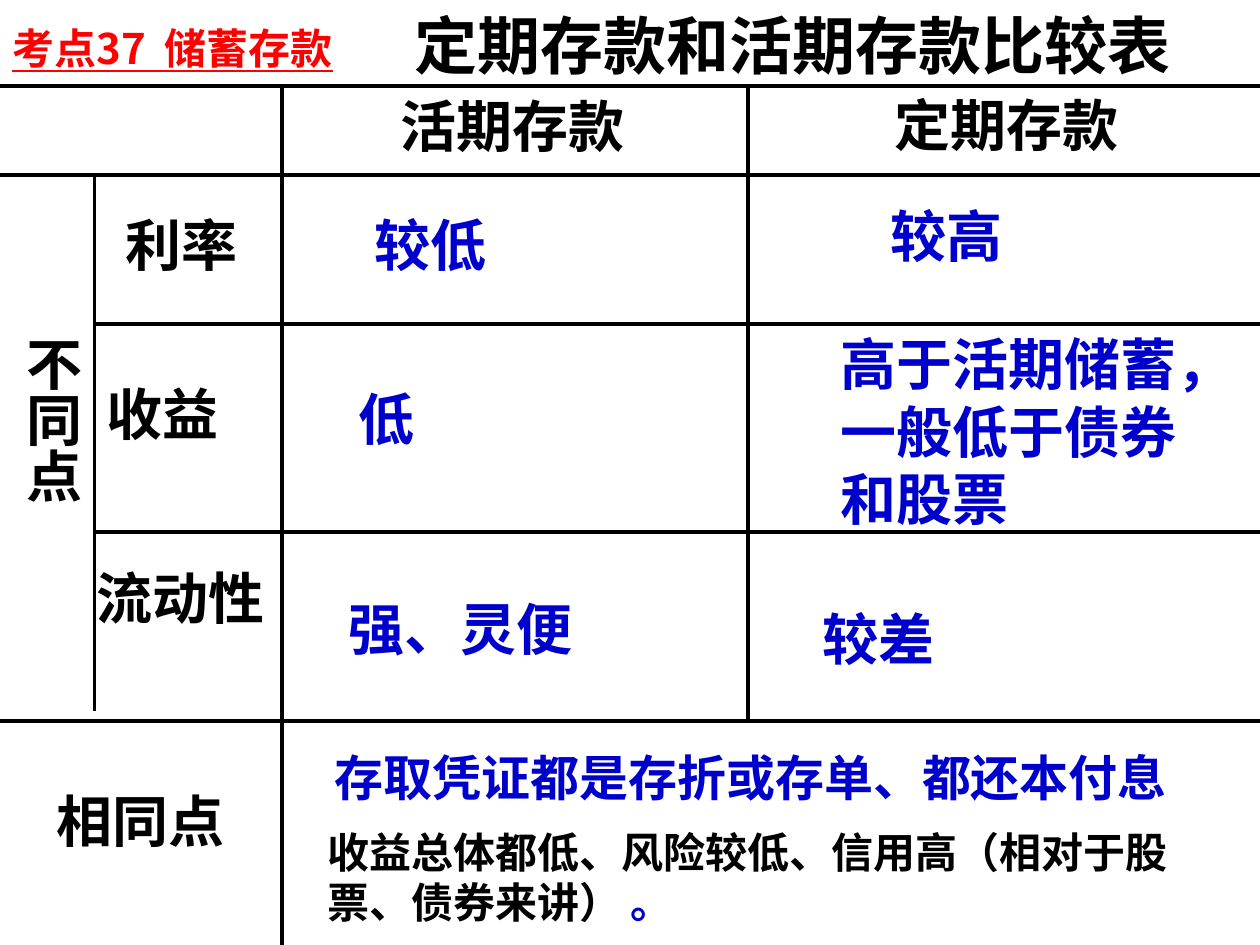
from lxml import etree
from pptx import Presentation
from pptx.dml.color import RGBColor
from pptx.enum.lang import MSO_LANGUAGE_ID
from pptx.enum.shapes import MSO_CONNECTOR
from pptx.enum.text import MSO_ANCHOR, MSO_AUTO_SIZE, PP_ALIGN
from pptx.oxml.ns import qn
from pptx.util import Inches, Pt

STRAIGHT = MSO_CONNECTOR.STRAIGHT
TOP = MSO_ANCHOR.TOP
NO_AUTOFIT = MSO_AUTO_SIZE.NONE
LEFT = PP_ALIGN.LEFT
CENTER = PP_ALIGN.CENTER
CHINESE = MSO_LANGUAGE_ID.SIMPLIFIED_CHINESE

BLACK = RGBColor(0x00, 0x00, 0x00)
BLUE = RGBColor(0x00, 0x00, 0xCC)
RED = RGBColor(0xFF, 0x00, 0x00)
SERIF = "Times New Roman"
SANS = "Arial"
CJK = "Noto Sans CJK SC"


def style_run(run, size, color, font=SERIF):
    """Format a run as bold text with a Chinese fallback font."""
    run.font.size = Pt(size)
    run.font.bold = True
    run.font.color.rgb = color
    run.font.name = font
    run.font.language_id = CHINESE
    latin = run.font._element.find(qn("a:latin"))
    east_asian = etree.Element(qn("a:ea"), typeface=CJK)
    latin.addnext(east_asian)


def add_label(slide, box, text, color=BLACK, size=32, font=SERIF):
    """Add a wrapped text box holding one styled paragraph."""
    label = slide.shapes.add_textbox(*map(Inches, box))
    frame = label.text_frame
    frame.word_wrap = True
    frame.text = text
    style_run(frame.paragraphs[0].runs[0], size, color, font)
    return frame


def add_rule(slide, x1, y1, x2, y2):
    """Draw one black rule of the comparison grid."""
    rule = slide.shapes.add_connector(STRAIGHT, *map(Inches, (x1, y1, x2, y2)))
    rule.line.color.rgb = BLACK
    rule.line.width = Pt(2.25)
    etree.SubElement(rule._element.spPr, qn("a:effectLst"))


def add_header(slide, left, top, width):
    """Place the slide title and the underlined topic mark."""
    title = slide.shapes.title
    title.left, title.top = Inches(left + 3.19), Inches(top)
    title.width, title.height = Inches(width - 3.74), Inches(0.7)
    frame = title.text_frame
    frame.text = "定期存款和活期存款比较表"
    frame.word_wrap = True
    frame.auto_size = NO_AUTOFIT
    frame.vertical_anchor = TOP
    frame.paragraphs[0].alignment = LEFT
    style_run(frame.paragraphs[0].runs[0], 36, BLACK)

    topic = add_label(slide, (left, top + 0.13, 4.33, 0.5),
                      "考点37  储蓄存款", RED, 24, CJK)
    topic.paragraphs[0].runs[0].font.underline = True


def add_grid(slide, left, top, width, height):
    """Draw the rules that divide the comparison into cells."""
    right = left + width
    group_x, type_x, fixed_x = left + 0.75, left + 2.24, left + 5.94
    head_y, shared_y = top + 0.71, top + 5.04
    for y in (top, head_y, shared_y):
        add_rule(slide, left, y, right, y)
    for y in (top + 1.89, top + 3.54):
        add_rule(slide, group_x, y, right, y)
    add_rule(slide, group_x, head_y, group_x, shared_y - 0.08)
    add_rule(slide, type_x, top, type_x, top + height)
    add_rule(slide, fixed_x, top, fixed_x, shared_y)


def add_differences(slide, left, top):
    """Place the column heads and the three rows of differences."""
    labels = [
        ("活期存款", 3.08, 0, 2.33, BLACK),
        ("定期存款", 7, -0.01, 2.35, BLACK),
        ("利率", 0.9, 0.94, 1.58, BLACK),
        ("较低", 2.87, 0.94, 2.52, BLUE),
        ("较高", 6.97, 0.87, 2.52, BLUE),
        ("收益", 0.75, 2.28, 1.73, BLACK),
        ("低", 2.75, 2.32, 2.44, BLUE),
        ("高于活期储蓄，一般低于债券和股票", 6.57, 1.89, 2.97, BLUE),
        ("流动性", 0.67, 3.74, 2.36, BLACK),
        ("强、灵便", 2.67, 3.99, 2.65, BLUE),
        ("较差", 6.43, 4.07, 3.57, BLUE),
    ]
    for text, x, y, width, color in labels:
        height = 1.7 if len(text) > 4 else 0.64
        add_label(slide, (left + x, top + y, width, height), text, color)

    group = add_label(slide, (left, top + 1.89, 0.73, 2.13), "不同点")
    group.margin_left = group.margin_right = Inches(0.05)
    group.margin_top = group.margin_bottom = Inches(0.1)
    group.paragraphs[0].alignment = CENTER
    group._element.bodyPr.set("vert", "eaVert")


def add_similarities(slide, left, top):
    """Place the row of features that both deposits share."""
    add_label(slide, (left + 0.35, top + 0.47, 2.13, 0.64), "相同点")
    add_label(slide, (left + 2.56, top + 0.16, 7.01, 0.57),
              "存取凭证都是存折或存单、都还本付息", BLUE, 28)
    summary = add_label(slide, (left + 2.5, top + 0.79, 6.99, 0.9),
                        "收益总体都低、风险较低、信用高", BLACK, 24)
    for text, color, font in (("（相对于股票、债券来讲） ", BLACK, SANS),
                              ("。", BLUE, SERIF)):
        run = summary.paragraphs[0].add_run()
        run.text = text
        style_run(run, 24, color, font)


def main():
    """Build and save the deposit comparison slide."""
    deck = Presentation()
    deck.slide_width, deck.slide_height = Inches(10), Inches(7.5)
    slide = deck.slides.add_slide(deck.slide_layouts[5])
    add_header(slide, 0, 0, 10)
    add_differences(slide, 0, 0.68)
    add_similarities(slide, 0, 5.72)
    add_grid(slide, 0, 0.68, 10, 6.82)
    deck.save("out.pptx")


if __name__ == "__main__":
    main()
